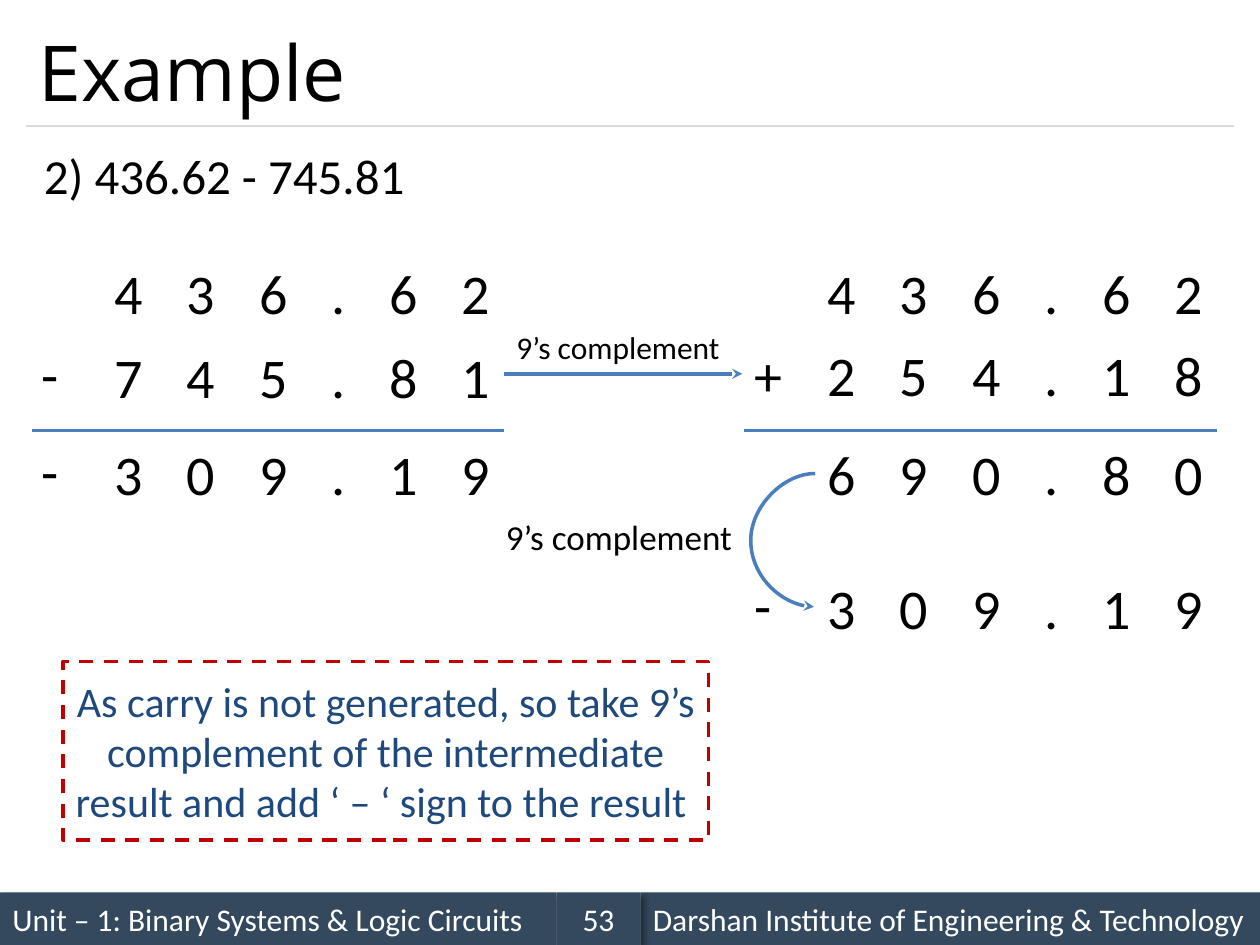
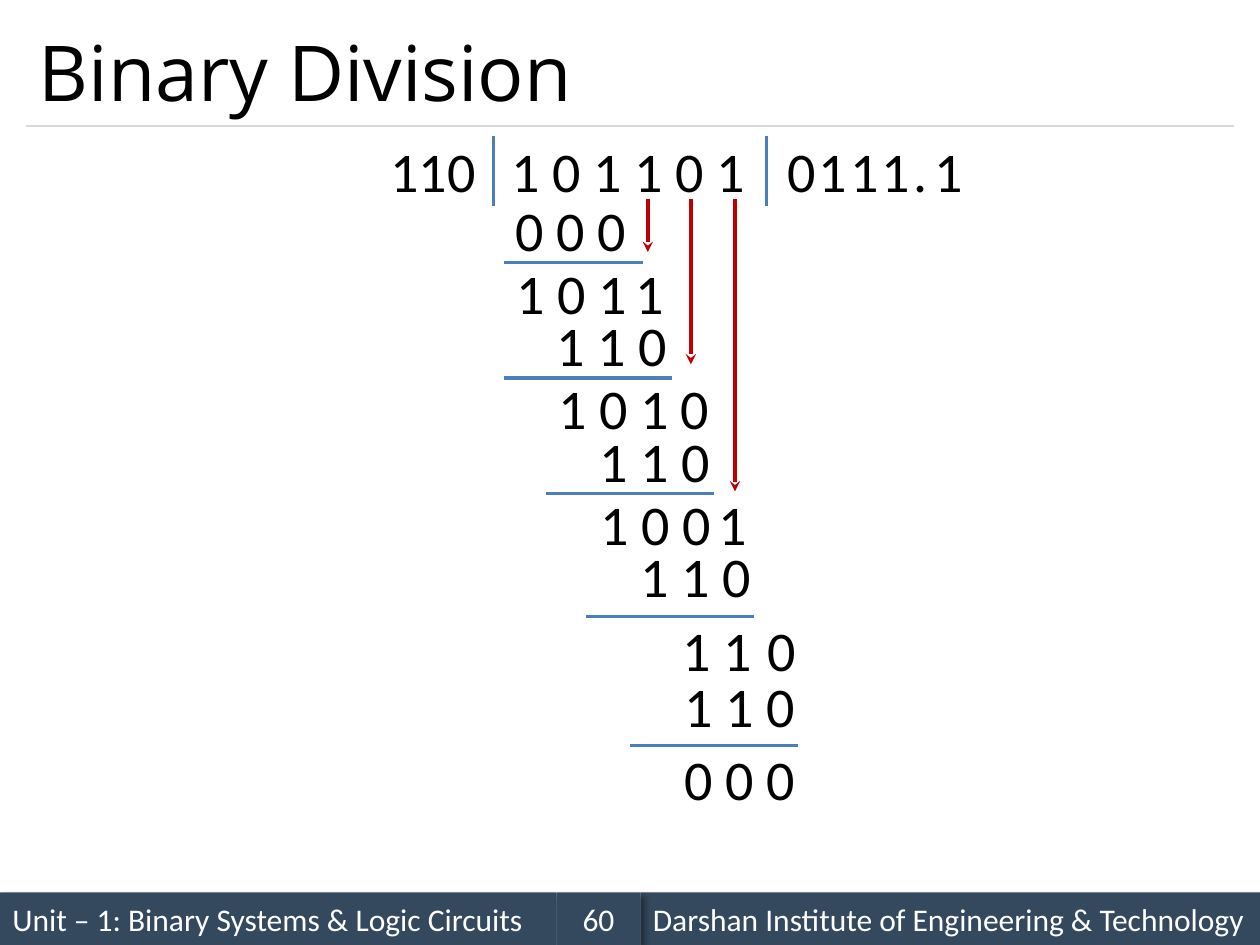
import dataclasses
import lxml.etree
import pptx
import pptx.dml.color
import pptx.enum.dml
import pptx.enum.shapes
import pptx.enum.text
import pptx.oxml.ns
import pptx.util

RGB = pptx.dml.color.RGBColor.from_string
PP = pptx.enum.text.PP_ALIGN
ANCHOR = pptx.enum.text.MSO_ANCHOR
FIT = pptx.enum.text.MSO_AUTO_SIZE
CONNECTOR = pptx.enum.shapes.MSO_CONNECTOR
RECT = pptx.enum.shapes.MSO_SHAPE.RECTANGLE
Pt = pptx.util.Pt
qn = pptx.oxml.ns.qn
sub = lxml.etree.SubElement


@dataclasses.dataclass(frozen=True)
class Theme:
    head: str = "Open Sans"
    body: str = "Calibri"
    ink: str = "000000"
    white: str = "FFFFFF"
    band: str = "34495E"
    rule: str = "D9D9D9"
    blue: str = "4B7EBC"
    red: str = "C00000"
    navy: str = "1F497D"
    title: int = 44
    digit: int = 32
    problem: int = 28
    note: int = 24
    label: int = 20
    small: int = 18


T = Theme()
prs = pptx.Presentation()
prs.slide_width = pptx.util.Inches(10)
prs.slide_height = pptx.util.Inches(7.5)
CELL = prs.slide_width // 120
ADVANCE = {".": 1.44, "-": 1.68, " ": 1.2}


def put(s, text, x, y, w=None, h=7.7, size=T.digit, color=T.ink, align=PP.LEFT, boxed=False):
    w = w or 2.4 + sum(ADVANCE.get(c, 2.76) for c in text)
    at = [round(v * CELL) for v in (x, y, w, h)]
    sp = s.shapes.add_shape(RECT, *at) if boxed else s.shapes.add_textbox(*at)
    if boxed:
        sp.shadow.inherit = False
    tf = sp.text_frame
    frame = {
        "word_wrap": boxed,
        "auto_size": FIT.NONE if boxed else FIT.SHAPE_TO_FIT_TEXT,
        "vertical_anchor": ANCHOR.MIDDLE if boxed else ANCHOR.TOP,
    }
    for key, value in frame.items():
        setattr(tf, key, value)
    p = tf.paragraphs[0]
    p.alignment = align
    r = p.add_run()
    r.text = text
    for key, value in {"name": T.body, "size": Pt(size)}.items():
        setattr(r.font, key, value)
    r.font.color.rgb = RGB(color)
    return sp


def line(s, x1, y1, x2, y2, color=T.blue, width=2, arrow=False, kind=CONNECTOR.STRAIGHT):
    c = s.shapes.add_connector(kind, *[round(v * CELL) for v in (x1, y1, x2, y2)])
    c.line.color.rgb = RGB(color)
    c.line.width = Pt(width)
    if arrow:
        sub(c.line._get_or_add_ln(), qn("a:tailEnd"), type="stealth")
    sub(c._element.spPr, qn("a:effectLst"))
    return c


slides = []
for title, number in (("Example", "53"), ("Binary Division", "60")):
    s = prs.slides.add_slide(prs.slide_layouts[5])
    slides.append(s)
    bands = (
        ("Unit – 1: Binary Systems & Logic Circuits", 0, 53, PP.LEFT),
        ("Darshan Institute of Engineering & Technology", 61, 59, PP.LEFT),
        (number, 53, 8, PP.CENTER),
    )
    for text, x, w, align in bands:
        sp = put(s, text, x, 85, w, 5, T.small, T.white, align, True)
        sp.fill.solid()
        sp.fill.fore_color.rgb = RGB(T.band)
        sp.line.fill.background()
        effects = sp._element.spPr.find(qn("a:effectLst"))
        shadow = sub(effects, qn("a:outerShdw"), blurRad=str(Pt(4)), dist=str(Pt(3)), dir="2700000")
        sub(sub(shadow, qn("a:srgbClr"), val=T.ink), qn("a:alpha"), val="40000")
    line(s, 2.5, 12, 117.5, 12, T.rule, 0.75)

    sp = s.shapes.title
    place = {"left": 2.5, "top": 1.5, "width": 115, "height": 10.5}
    for key, value in place.items():
        setattr(sp, key, round(value * CELL))
    tf = sp.text_frame
    tf.text = title
    tf.auto_size = FIT.NONE
    tf.vertical_anchor = ANCHOR.MIDDLE
    p = tf.paragraphs[0]
    p.alignment = PP.LEFT
    for key, value in {"name": T.head, "size": Pt(T.title)}.items():
        setattr(p.runs[0].font, key, value)
    p.runs[0].font.color.rgb = RGB(T.ink)

s = slides[0]
put(s, "2) 436.62 - 745.81", 3, 13.3, 37.3, 6.8, T.problem)
columns = (9.7, 16.6, 23.5, 30.4, 35.9, 42.8)
sums = (
    (0, (("", "436.62", 24), ("-", "745.81", 32), ("-", "309.19", 41.3))),
    (67.9, (("", "436.62", 24), ("+", "254.18", 31.8), ("", "690.80", 41.3), ("-", "309.19", 54))),
)
for left, rows in sums:
    for sign, number, y in rows:
        if sign:
            put(s, sign, left + 2.8, y - 0.3 * (sign == "-"))
        for x, digit in zip(columns, number):
            put(s, digit, left + x, y)
    line(s, left + 3, 41, left + 48, 41)

put(s, "9’s complement", 47, 48.5, 24.2, 5.3, T.label)
put(s, "9’s complement", 48, 30.7, 22, 4.8, T.small)
line(s, 48, 35.6, 70.7, 35.6, arrow=True)
curve = line(s, 77.52, 45.1, 77.64, 57.8, arrow=True, kind=CONNECTOR.CURVE)
xfrm = curve._element.spPr.find(qn("a:xfrm"))
for key, value in {"rot": "10800000", "flipV": "1"}.items():
    xfrm.set(key, value)
geom = curve._element.spPr.find(qn("a:prstGeom"))
guides = geom.find(qn("a:avLst"))
if guides is None:
    guides = sub(geom, qn("a:avLst"))
sub(guides, qn("a:gd"), name="adj1", fmla="val 5200000")

note = "As carry is not generated, so take 9’s complement of the intermediate result and add ‘ – ‘ sign to the result "
sp = put(s, note, 6, 63, 61.5, 17, T.note, T.navy, PP.CENTER, True)
sp.fill.background()
sp.line.color.rgb = RGB(T.red)
for key, value in {"width": Pt(2), "dash_style": pptx.enum.dml.MSO_LINE.DASH}.items():
    setattr(sp.line, key, value)

s = slides[1]
put(s, "110", 36, 12.4)
put(s, "1 0 1 1 0 1", 47.5, 12.4)
for i, digit in enumerate("0111."):
    put(s, digit, 73.8 + 3 * i, 12.4)
put(s, "1", 87.8, 12.4)
for x in (47, 73):
    line(s, x, 13, x, 19.6)

steps = (
    ("0 0 0", 47.9, 18),
    ("1 0 1", 48, 24), ("1", 59.3, 24), ("1 1 0", 51.8, 29),
    ("1 0 1", 52, 35), ("0", 63.6, 35), ("1 1 0", 55.9, 40),
    ("1 0 0", 56, 46), ("1", 67.3, 46), ("1 1 0", 59.8, 51),
    ("1 1", 63.8, 58), ("0", 71.9, 58), ("1 1 0", 64, 63.4),
    ("0 0 0", 64, 70.3),
)
for digits, x, y in steps:
    put(s, digits, x, y)
for x1, x2, y in ((48, 61.2, 25), (48, 64, 36), (52, 68, 47), (55.8, 71.8, 58.7), (60, 76, 71)):
    line(s, x1, y, x2, y)
for x, y in ((61.7, 24), (65.8, 34.7), (70, 46.8)):
    line(s, x, 19, x, y, T.red, arrow=True)

prs.save("out.pptx")
